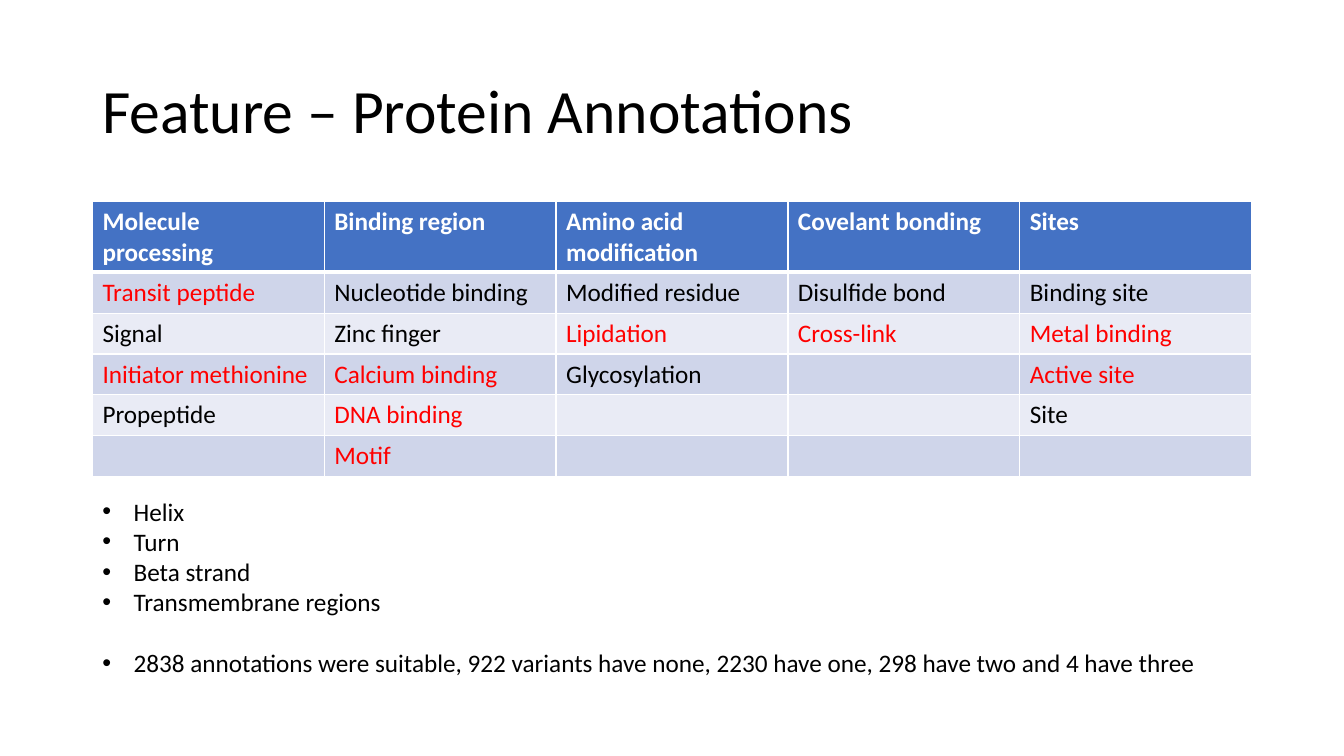
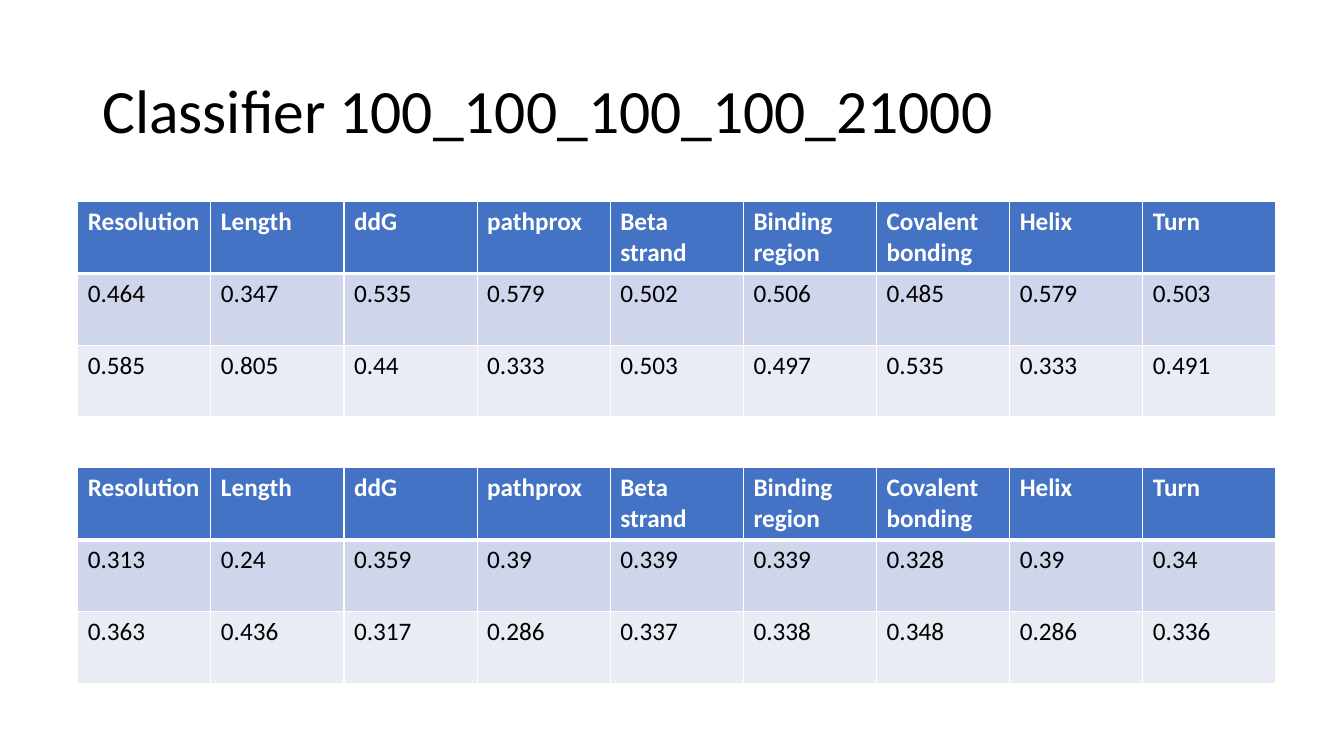
from lxml.etree import SubElement
from pptx import Presentation
from pptx.dml.color import RGBColor
from pptx.enum.text import MSO_ANCHOR
from pptx.oxml import parse_xml
from pptx.oxml.ns import nsdecls, qn
from pptx.util import Cm, Pt

FONT = "Calibri"
BLACK, WHITE, RED = "000000", "FFFFFF", "FF0000"
HEADER, BANDS = "4472C4", ("CFD5EA", "E9EBF5")
LEFT, TABLE_TOP, WIDTH = 2.33, 5.08, 29.21

ANNOTATIONS = [
    ["Molecule processing", "Binding region", "Amino acid modification",
     "Covelant bonding", "Sites"],
    ["Transit peptide", "Nucleotide binding", "Modified residue",
     "Disulfide bond", "Binding site"],
    ["Signal", "Zinc finger", "Lipidation", "Cross-link", "Metal binding"],
    ["Initiator methionine", "Calcium binding", "Glycosylation", "",
     "Active site"],
    ["Propeptide", "DNA binding", "", "", "Site"],
    ["", "Motif", "", "", ""],
]
HIGHLIGHTED = {"Transit peptide", "Lipidation", "Cross-link", "Metal binding",
               "Initiator methionine", "Calcium binding", "Active site",
               "DNA binding", "Motif"}
FEATURES = ["Helix", "Turn", "Beta strand", "Transmembrane regions"]
SUMMARY = ("2838 annotations were suitable, 922 variants have none, "
           "2230 have one, 298 have two and 4 have three")

CLASSIFIER_HEAD = ["Resolution", "Length", "ddG", "pathprox", "Beta strand",
                   "Binding region", "Covalent bonding", "Helix", "Turn"]
CLASSIFIER_RESULTS = [
    [["0.464", "0.347", "0.535", "0.579", "0.502", "0.506", "0.485", "0.579",
      "0.503"],
     ["0.585", "0.805", "0.44", "0.333", "0.503", "0.497", "0.535", "0.333",
      "0.491"]],
    [["0.313", "0.24", "0.359", "0.39", "0.339", "0.339", "0.328", "0.39",
      "0.34"],
     ["0.363", "0.436", "0.317", "0.286", "0.337", "0.338", "0.348", "0.286",
      "0.336"]],
]


def rgb(value):
    return RGBColor.from_string(value)


def style(p, size=18, color=BLACK, bold=False):
    for r in p.runs:
        r.font.name = FONT
        r.font.size = Pt(size)
        r.font.bold = bold
        r.font.color.rgb = rgb(color)


def add_text(s, left, top, width, height):
    tf = s.shapes.add_textbox(Cm(left), Cm(top), Cm(width), Cm(height)).text_frame
    tf.word_wrap = True
    return tf


def add_titled_slide(prs, title):
    s = prs.slides.add_slide(prs.slide_layouts[6])
    tf = add_text(s, LEFT, 1.01, WIDTH, 3.68)
    tf.vertical_anchor = MSO_ANCHOR.MIDDLE
    tf.text = title
    p = tf.paragraphs[0]
    p.line_spacing = 0.9
    style(p, 44)
    return s


def set_borders(cell, top, bottom):
    """White cell edges; the lines must precede the fill in the cell XML."""
    edges = {"lnL": 1, "lnR": 1, "lnT": top, "lnB": bottom}
    for i, (tag, width) in enumerate(edges.items()):
        ln = parse_xml(
            f'<a:{tag} {nsdecls("a")} w="{Pt(width)}"><a:solidFill>'
            f'<a:srgbClr val="{WHITE}"/></a:solidFill></a:{tag}>')
        cell._tc.get_or_add_tcPr().insert(i, ln)


def add_banded_table(s, rows, left, top, width, head_height, row_height):
    height = head_height + row_height * (len(rows) - 1)
    table = s.shapes.add_table(len(rows), len(rows[0]), Cm(left), Cm(top),
                               Cm(width), Cm(height)).table
    for column in table.columns:
        column.width = Cm(width / len(rows[0]))
    for i, row in enumerate(rows):
        is_head = i == 0
        table.rows[i].height = Cm(head_height if is_head else row_height)
        for j, text in enumerate(row):
            cell = table.cell(i, j)
            cell.fill.solid()
            cell.fill.fore_color.rgb = rgb(HEADER if is_head else BANDS[(i - 1) % 2])
            set_borders(cell, 3 if i == 1 else 1, 3 if is_head else 1)
            if text:
                cell.text_frame.text = text
                body = RED if text in HIGHLIGHTED else BLACK
                style(cell.text_frame.paragraphs[0],
                      color=WHITE if is_head else body, bold=is_head)


def add_bullets(s, items, left, top, width, height):
    tf = add_text(s, left, top, width, height)
    for i, text in enumerate(items):
        p = tf.add_paragraph() if i else tf.paragraphs[0]
        p.text = text
        style(p)
        pPr = p._p.get_or_add_pPr()
        pPr.set("marL", str(Cm(0.79)))
        pPr.set("indent", str(-Cm(0.79)))
        SubElement(pPr, qn("a:buFont")).set("typeface", "Arial")
        SubElement(pPr, qn("a:buChar")).set("char", "•")
    return tf


def annotations_slide(prs):
    s = add_titled_slide(prs, "Feature – Protein Annotations")
    add_banded_table(s, ANNOTATIONS, LEFT, TABLE_TOP, WIDTH, 1.78, 1.03)
    tf = add_bullets(s, FEATURES + [SUMMARY], LEFT, 12.37, 29.39, 4.88)
    # The summary stands one line apart from the features
    tf.paragraphs[-1].space_before = Pt(22)


def classifier_slide(prs):
    s = add_titled_slide(prs, "Classifier 100_100_100_100_21000")
    for i, results in enumerate(CLASSIFIER_RESULTS):
        add_banded_table(s, [CLASSIFIER_HEAD] + results, 1.96,
                         TABLE_TOP + 6.71 * i, 30.2, 1.81, 1.81)


def main():
    prs = Presentation()
    prs.slide_width, prs.slide_height = Cm(33.87), Cm(19.05)
    annotations_slide(prs)
    classifier_slide(prs)
    prs.save("out.pptx")


if __name__ == "__main__":
    main()
